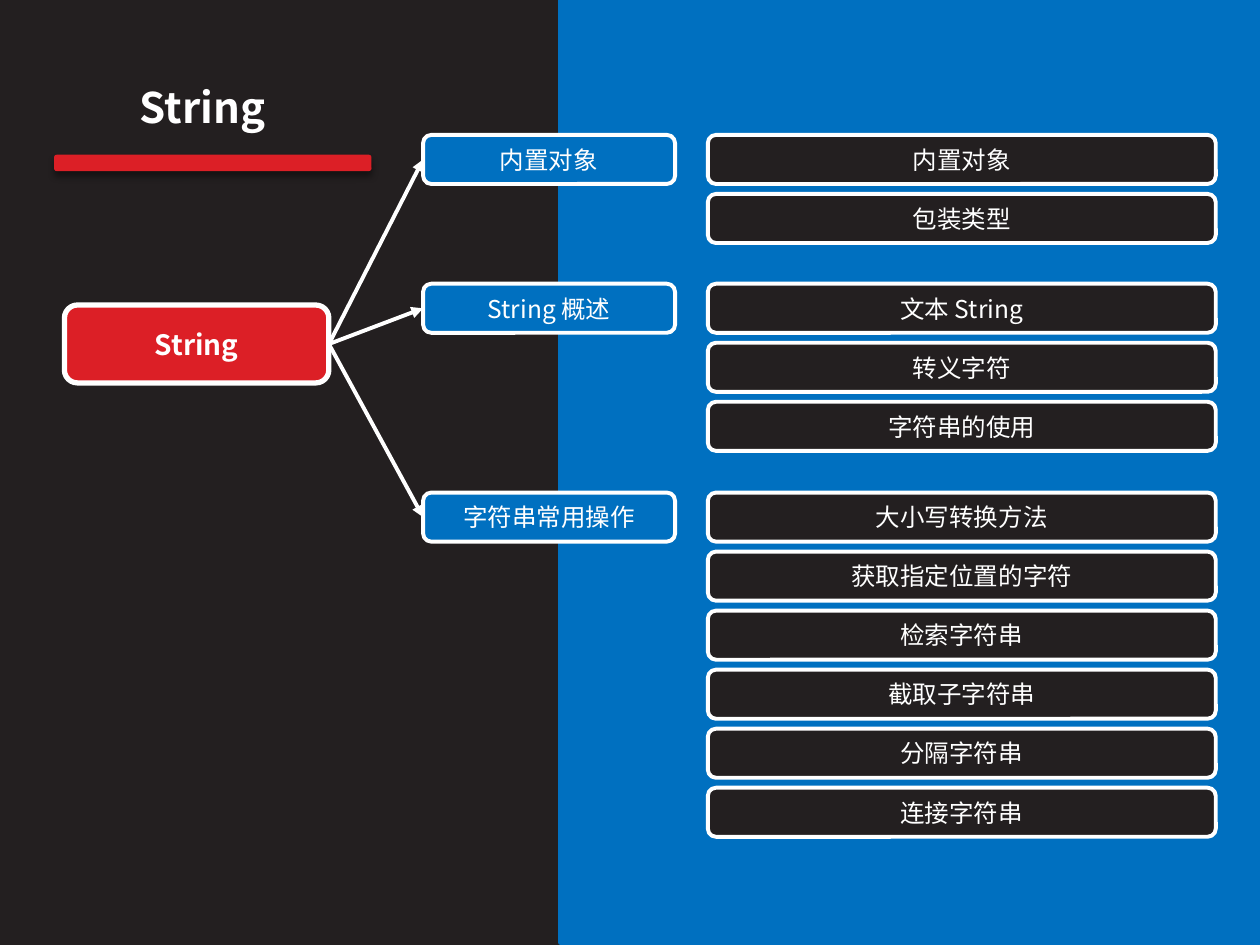
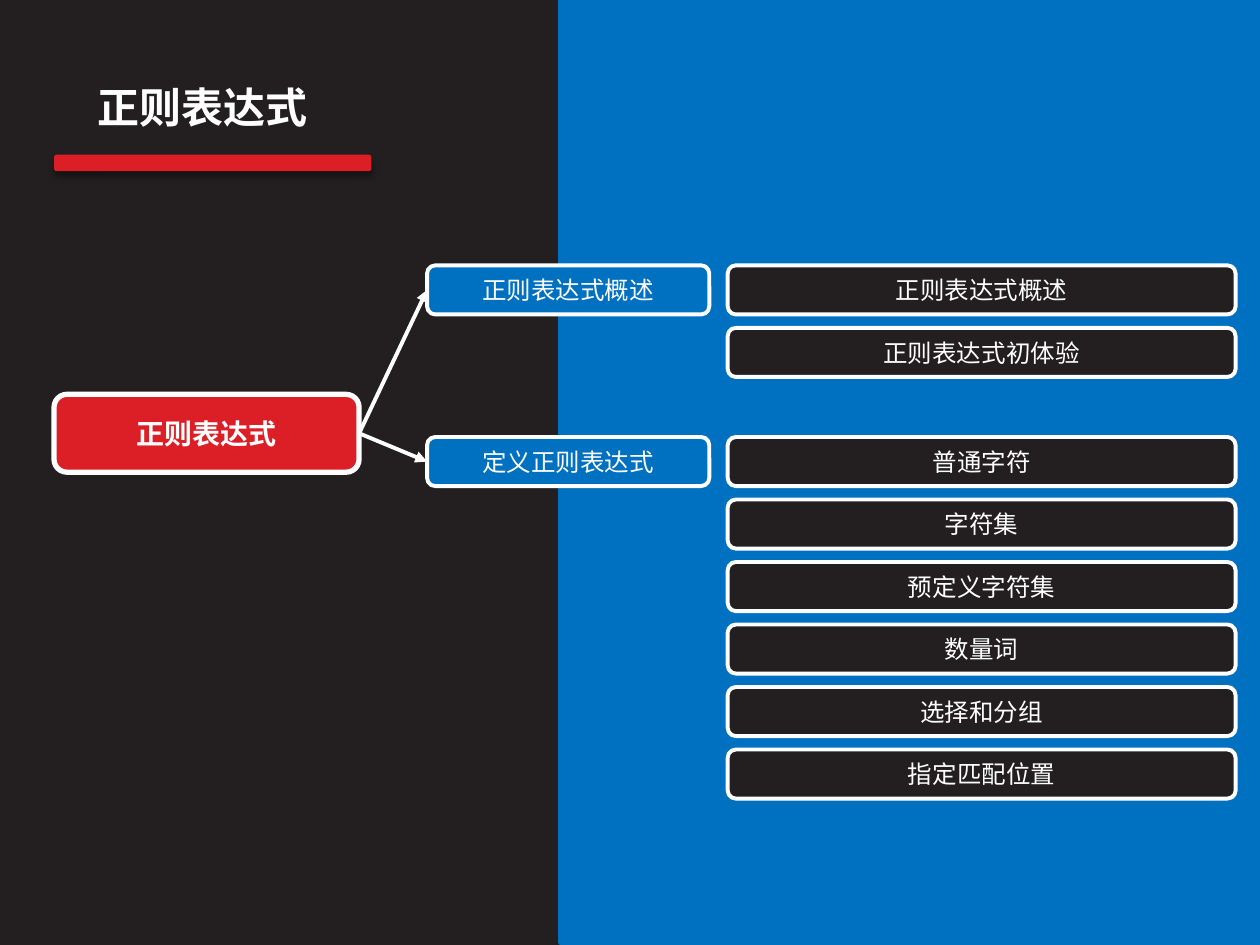
from lxml.etree import SubElement
from pptx import Presentation
from pptx.dml.color import RGBColor
from pptx.enum.shapes import MSO_CONNECTOR as Connector, MSO_SHAPE as Shape
from pptx.enum.text import MSO_ANCHOR as Anchor, PP_ALIGN as Align
from pptx.oxml.ns import qn
from pptx.util import Cm, Pt

# Content: every branch has a top edge in cm, a label and its topics
MAPS = [
    {
        "title": "String",
        "root": (1.3, 6.15, 5.33),  # left, top, width
        "branch": (8.53, 5.08),  # left, width
        "topic_left": 14.27,
        "pitch": 1.19,
        "branches": [
            (2.72, "内置对象", ["内置对象", "包装类型"]),
            (5.72, "String 概述", ["文本 String", "转义字符", "字符串的使用"]),
            (9.93, "字符串常用操作",
             ["大小写转换方法", "获取指定位置的字符", "检索字符串",
              "截取子字符串", "分隔字符串", "连接字符串"]),
        ],
    },
    {
        "title": "正则表达式",
        "root": (1.09, 7.95, 6.15),
        "branch": (8.61, 5.69),
        "topic_left": 14.67,
        "pitch": 1.26,
        "branches": [
            (5.35, "正则表达式概述", ["正则表达式概述", "正则表达式初体验"]),
            (8.81, "定义正则表达式",
             ["普通字符", "字符集", "预定义字符集", "数量词",
              "选择和分组", "指定匹配位置"]),
        ],
    },
]

# Shared style
DARK = RGBColor(0x23, 0x1F, 0x20)
BLUE = RGBColor(0x00, 0x70, 0xC0)
RED = RGBColor(0xDC, 0x1F, 0x26)
WHITE = RGBColor(0xFF, 0xFF, 0xFF)
FONT = "Noto Sans CJK SC"
ROOT_HEIGHT, BOX_HEIGHT, TOPIC_WIDTH = 1.57, 0.99, 10.24
LEFT_SITE, RIGHT_SITE = 1, 3


def write(frame, text, size, bold=False):
    para = frame.paragraphs[0]
    para.alignment = Align.CENTER
    span = para.add_run()
    span.text = text
    font = span.font
    font.name, font.size, font.bold = FONT, Pt(size), bold
    font.color.rgb = WHITE
    SubElement(span._r.get_or_add_rPr(), qn("a:ea"), typeface=FONT)


def add_block(page, kind, place, fill, line=None, weight=2.25):
    block = page.shapes.add_shape(kind, *map(Cm, place))
    block.shadow.inherit = False
    block.fill.solid()
    block.fill.fore_color.rgb = fill
    if line is None:
        block.line.fill.background()
    else:
        block.line.color.rgb = line
        block.line.width = Pt(weight)
    return block


def add_box(page, place, fill, text, size=14, bold=False, weight=2.25):
    box = add_block(page, Shape.ROUNDED_RECTANGLE, place, fill, WHITE, weight)
    box.text_frame.vertical_anchor = Anchor.MIDDLE
    write(box.text_frame, text, size, bold)
    return box


def add_arrow(page, start, end):
    arrow = page.shapes.add_connector(Connector.STRAIGHT, 0, 0, 0, 0)
    arrow.begin_connect(start, RIGHT_SITE)
    arrow.end_connect(end, LEFT_SITE)
    arrow.line.color.rgb = WHITE
    arrow.line.width = Pt(2.25)
    SubElement(arrow.line._get_or_add_ln(), qn("a:tailEnd"), type="triangle")
    SubElement(arrow._element.spPr, qn("a:effectLst"))


def add_title(page, text):
    title = page.shapes.title
    title.left, title.top, title.width, title.height = map(
        Cm, (-0.51, 1.52, 9.19, 1.8))
    title.text_frame.vertical_anchor = Anchor.TOP
    write(title.text_frame, text, 24, bold=True)

    # Red bar with a soft shadow below it
    bar = add_block(page, Shape.ROUNDED_RECTANGLE, (1.09, 3.12, 6.4, 0.33), RED)
    effects = bar._element.spPr.find(qn("a:effectLst"))
    shadow = SubElement(effects, qn("a:outerShdw"), blurRad=str(Pt(4)),
                        dist=str(Pt(3)), dir="5400000", rotWithShape="0")
    color = SubElement(shadow, qn("a:srgbClr"), val="000000")
    SubElement(color, qn("a:alpha"), val="43000")


def add_map(page, content):
    add_title(page, content["title"])
    root = add_box(page, (*content["root"], ROOT_HEIGHT), RED,
                   content["title"], 16, bold=True, weight=3)
    left, width = content["branch"]
    for top, label, topics in content["branches"]:
        branch = add_box(page, (left, top, width, BOX_HEIGHT), BLUE, label)
        add_arrow(page, root, branch)
        for row, topic in enumerate(topics):
            place = (content["topic_left"], top + row * content["pitch"],
                     TOPIC_WIDTH, BOX_HEIGHT)
            add_box(page, place, DARK, topic)


def style_layout(layout, page):
    """Give the layout its dark background and the blue right-hand panel."""
    layout.background.fill.solid()
    layout.background.fill.fore_color.rgb = DARK
    panel = add_block(page, Shape.RECTANGLE, (11.3, 0, 14.1, 19), BLUE, BLUE, 3)
    layout.shapes.element.insert(2, panel.element)


def main():
    deck = Presentation()
    deck.slide_width, deck.slide_height = Cm(25.4), Cm(19.05)
    layout = deck.slide_layouts[5]
    pages = [deck.slides.add_slide(layout) for _ in MAPS]
    style_layout(layout, pages[0])
    for page, content in zip(pages, MAPS):
        add_map(page, content)
    deck.save("out.pptx")


if __name__ == "__main__":
    main()
